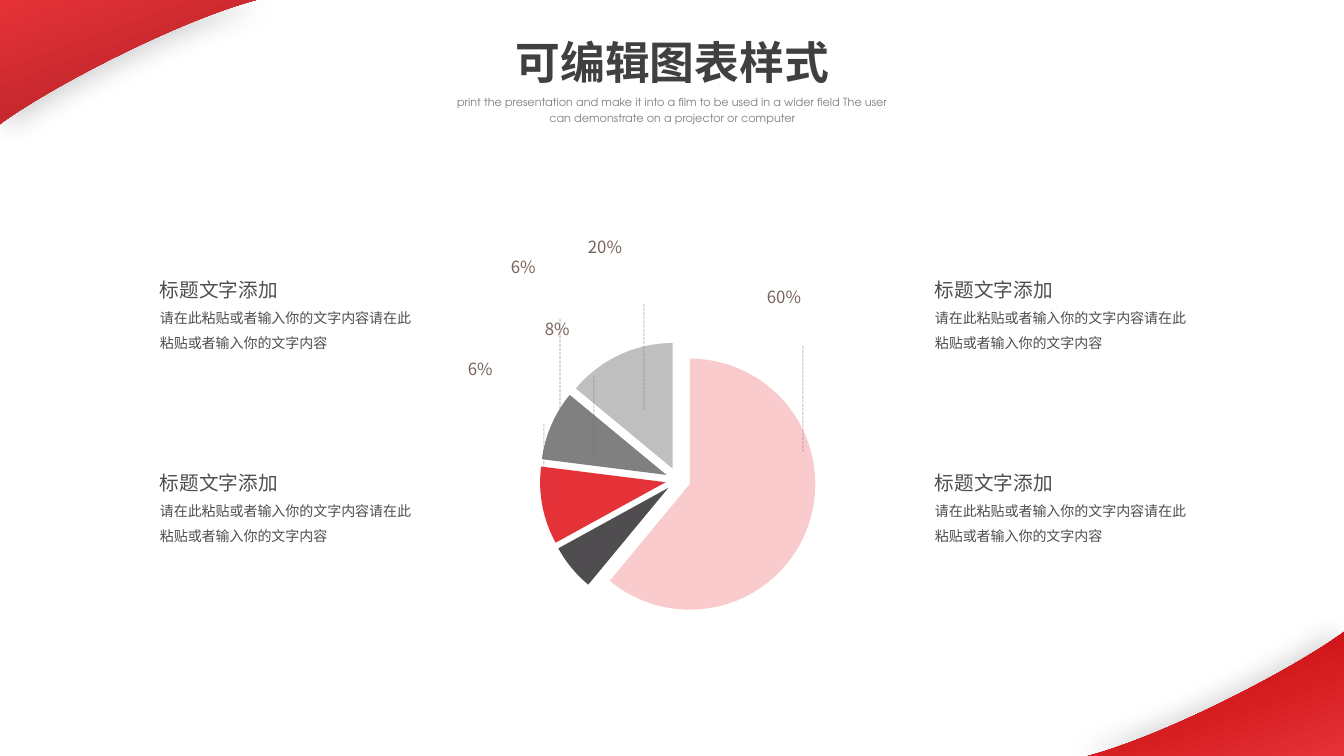
from itertools import product

from lxml.etree import SubElement
from pptx import Presentation
from pptx.chart.data import CategoryChartData as PieData
from pptx.dml.color import RGBColor as Rgb
from pptx.enum.chart import XL_CHART_TYPE as Kind
from pptx.enum.dml import MSO_LINE as Dash
from pptx.enum.shapes import MSO_CONNECTOR as Link
from pptx.enum.text import MSO_AUTO_SIZE as Fit, PP_ALIGN as Align
from pptx.oxml.ns import qn
from pptx.util import Pt

# Content
TITLE = "可编辑图表样式"
SUB = ("print the presentation and make it into a film to be used in a wider "
       "field The user can demonstrate on a projector or computer")
HEAD = "标题文字添加"
BODY = "请在此粘贴或者输入你的文字内容请在此粘贴或者输入你的文字内容"
SHARES = [("1", 61, "pink"), ("2", 6, "ink"), ("3", 10, "red"),
          ("4", 9, "gray"), ("5", 14, "silver")]
LABELS = [("60%", 757, 282, 208), ("20%", 578, 232, 208), ("8%", 535, 314, 208),
          ("6%", 501, 252, 208), ("6%", 458, 354, 52)]  # text, x, y, width
LEADS = [(803, 346, 452), (644, 304, 410), (560, 319, 410),
         (594, 376, 458), (544, 424, 499)]  # x, top, end

# Look and layout, in px
THEME = {
    "pink": "F9CBCC", "ink": "4F4D50", "red": "E53238", "gray": "808080",
    "silver": "BFBFBF", "brown": "79645C", "dark": "404040",
    "wine": "AC2125", "blood": "C00000", "black": "000000",
    "cjk": "Noto Sans CJK SC", "latin": "TeX Gyre Adventor", "chart": "Calibri",
    "title": 32, "sub": 8, "head": 14, "body": 10, "label": 12, "pie": 18,
}
WIDE, HIGH = 1344, 756
SCALE = 12192000 / WIDE
PIE = (449, 328, 458, 304)
COLS, ROWS = (150, 925), (261, 454)
CURVE = [(256, 0), (175, 22), (49, 88), (0, 124)]
STEPS = 32


def emu(*nums):
    return [round(n * SCALE) for n in nums]


def tint(name):
    return Rgb.from_string(THEME[name])


def write(slide, text, box, *, size, color, font="cjk", bold=False,
          align=None, space=None, before=None, grow=False):
    shape = slide.shapes.add_textbox(*emu(*box))
    frame = shape.text_frame
    frame.word_wrap = True
    frame.auto_size = Fit.SHAPE_TO_FIT_TEXT if grow else Fit.NONE
    para = frame.paragraphs[0]
    para.alignment = align
    para.line_spacing = space
    para.space_before = before
    run = para.add_run()
    run.text = text
    run.font.name = THEME[font]
    run.font.size = Pt(THEME[size])
    run.font.bold = bold
    run.font.color.rgb = tint(color)
    SubElement(run.font._element, qn("a:ea"), typeface=THEME["cjk"])


def add_corner(slide, deep, angle, aim, flip=False):
    """Draw a curved corner; flip turns it about the slide's centre."""
    def turn(x, y):
        return emu(WIDE - x, HIGH - y) if flip else emu(x, y)

    def bend(t):
        parts = ((1 - t) ** 3, 3 * t * (1 - t) ** 2, 3 * t * t * (1 - t), t ** 3)
        return [sum(p * pt[i] for p, pt in zip(parts, CURVE)) for i in (0, 1)]

    build = slide.shapes.build_freeform(*turn(0, 0), scale=1.0)
    build.add_line_segments([turn(*bend(n / STEPS)) for n in range(STEPS + 1)])
    shape = build.convert_to_shape()
    shape.line.fill.background()
    shape.fill.gradient()
    shape.fill.gradient_angle = angle
    for stop, name, place in zip(shape.fill.gradient_stops, ("red", deep), (0, 1)):
        stop.color.rgb = tint(name)
        stop.position = place
    shape.shadow.inherit = False
    effects = shape._element.spPr.find(qn("a:effectLst"))
    shade = SubElement(effects, qn("a:outerShdw"), blurRad=str(Pt(20)),
                       dist=str(Pt(5)), dir=str(aim * 60000),
                       algn="ctr", rotWithShape="0")
    color = SubElement(shade, qn("a:srgbClr"), val=THEME["black"])
    SubElement(color, qn("a:alpha"), val="20000")


def add_pie(slide):
    data = PieData()
    data.categories = [name for name, _, _ in SHARES]
    data.add_series("Series 1", [share for _, share, _ in SHARES])
    chart = slide.shapes.add_chart(Kind.PIE, *emu(*PIE), data).chart
    chart.has_legend = chart.has_title = False
    chart.font.name = THEME["chart"]
    chart.font.size = Pt(THEME["pie"])
    chart.font.color.rgb = tint("black")
    series = chart.plots[0].series[0]
    for n, (_, _, color) in enumerate(SHARES):
        look = series.points[n].format
        look.fill.solid()
        look.fill.fore_color.rgb = tint(color)
        look.line.fill.background()
    burst = SubElement(series._element, qn("c:explosion"), val="10")
    series._element.find(qn("c:tx")).addnext(burst)


def add_lead(slide, x, top, end):
    lead = slide.shapes.add_connector(Link.STRAIGHT, *emu(x, top, x, end))
    lead.line.width = Pt(0.75)
    lead.line.color.rgb = tint("brown")
    lead.line.dash_style = Dash.SQUARE_DOT
    props = lead._element.spPr
    SubElement(next(props.iter(qn("a:srgbClr"))), qn("a:alpha"), val="39000")
    SubElement(props, qn("a:effectLst"))


def main():
    deck = Presentation()
    deck.slide_width, deck.slide_height = emu(WIDE, HIGH)
    slide = deck.slides.add_slide(deck.slide_layouts[6])

    add_corner(slide, "wine", 290, 45)
    add_corner(slide, "blood", 110, 180, flip=True)
    add_pie(slide)
    for lead in LEADS:
        add_lead(slide, *lead)
    for text, x, y, width in LABELS:
        write(slide, text, (x, y, width, 30), size="label", color="brown",
              grow=True)
    for x, y in product(COLS, ROWS):
        style = {"color": "ink", "space": 1.5, "before": Pt(10)}
        write(slide, HEAD, (x, y, 222, 37), size="head", **style)
        write(slide, BODY, (x, y + 35, 277, 62), size="body", **style)
    write(slide, TITLE, (437, 30, 471, 65), size="title", color="dark",
          font="latin", bold=True, align=Align.CENTER, grow=True)
    write(slide, SUB, (437, 88, 471, 42), size="sub", color="gray",
          font="latin", align=Align.CENTER, space=1.2, grow=True)
    deck.save("out.pptx")


if __name__ == "__main__":
    main()
